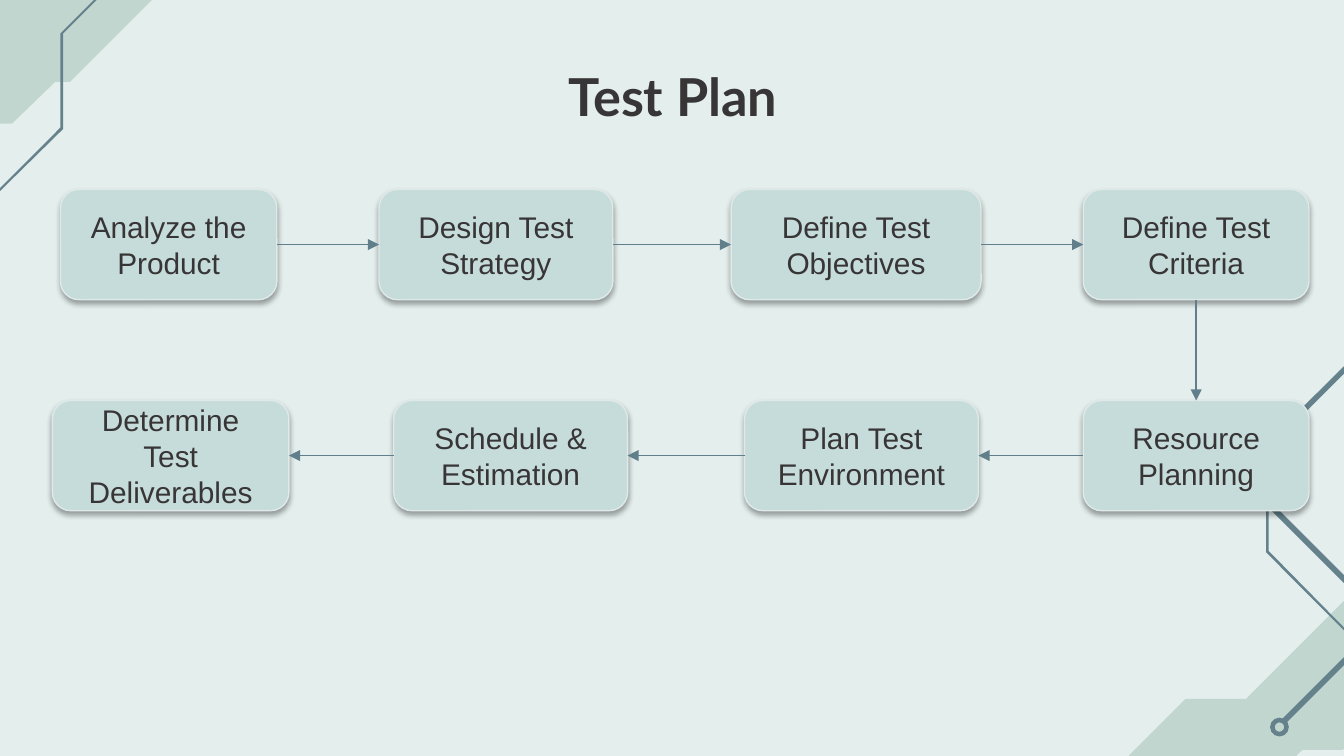
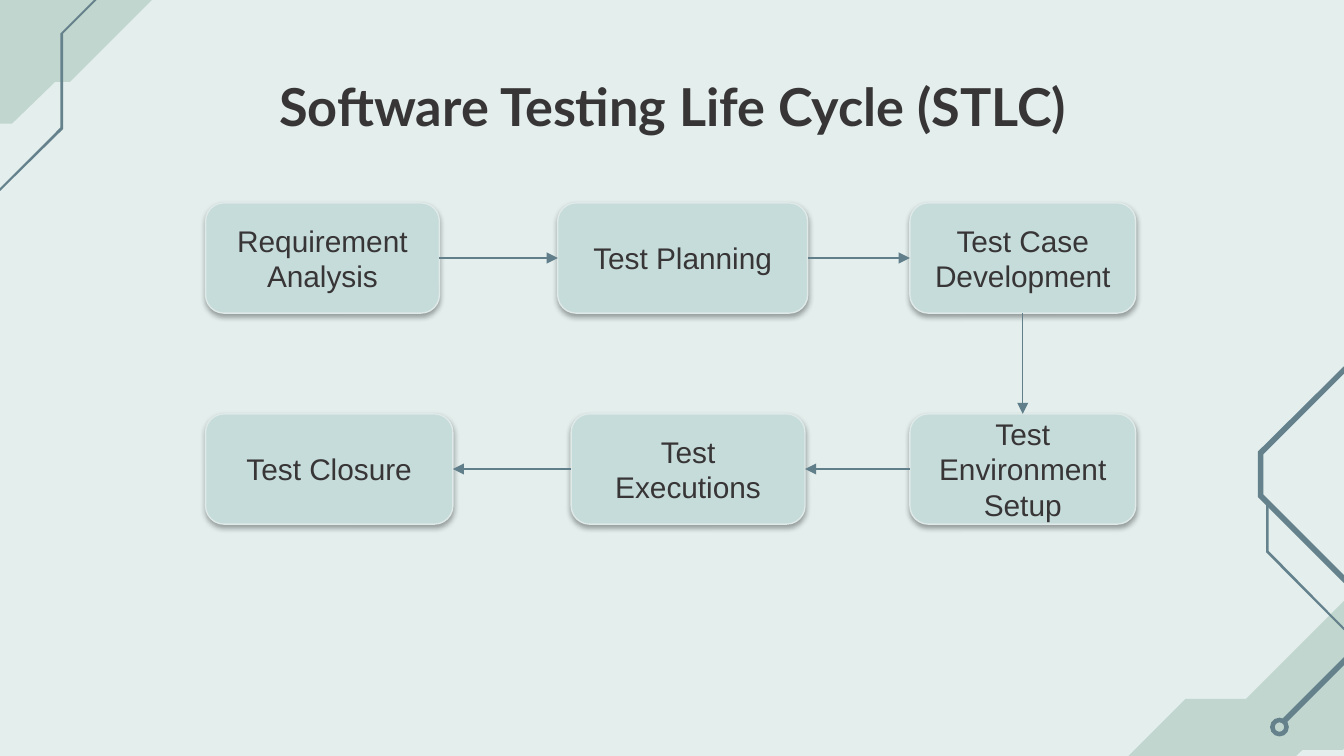
from itertools import pairwise

from lxml.etree import SubElement
from pptx import Presentation
from pptx.dml.color import RGBColor
from pptx.enum.shapes import MSO_CONNECTOR as CONN, MSO_SHAPE as SHAPE
from pptx.enum.text import MSO_ANCHOR as ANCHOR, MSO_AUTO_SIZE as AUTOSIZE, PP_ALIGN as ALIGN
from pptx.oxml.ns import qn
from pptx.util import Inches, Pt

COLORS = {
    "background": "E3EEED",
    "band": "C1D6CE",
    "circuit": "64818C",
    "box": "C6DCDA",
    "border": "DEE9E8",
    "arrow": "617F8A",
    "text": "383536",
}
SLIDE_W = Inches(10)
SLIDE_H = SLIDE_W * 9 // 16
TITLE_ONLY = 5
BOX_H = 0.82
ROW_STEP = 1.57
TOP, LEFT, BOTTOM, RIGHT = range(4)

CORNER_ART = [
    ("band", [(1.19, -0.72), (0.65, -0.18), (0.16, -0.18), (-0.94, 0.92),
              (0.09, 0.92), (0.41, 0.61), (0.52, 0.61), (1.85, -0.72)]),
    ("circuit", [(1.21, -0.51), (0.45, 0.25), (0.45, 0.95), (-0.12, 1.52),
                 (-0.11, 1.53), (0.47, 0.96), (0.47, 0.25), (1.22, -0.5)]),
    ("band", [(10.27, 4.2), (9.27, 5.2), (8.82, 5.2), (8.25, 5.77),
              (8.25, 6.03), (7.89, 6.39), (8.87, 6.39), (9.69, 5.58),
              (9.99, 5.58), (10.58, 4.99), (10.58, 4.83), (11.21, 4.2)]),
    ("circuit", [(12.18, 1.32), (11.21, 2.29), (10.43, 2.29), (10.43, 2.3),
                 (9.36, 3.36), (9.36, 3.7), (10.01, 4.35), (10.01, 4.88),
                 (9.53, 5.36), (9.56, 5.39), (10.05, 4.9), (10.05, 4.33),
                 (9.4, 3.68), (9.4, 3.38), (10.45, 2.33), (11.22, 2.33),
                 (11.23, 2.32), (12.21, 1.34)]),
    ("circuit", [(9.42, 3.74), (9.42, 4.11), (10.02, 4.71), (10.03, 4.7),
                 (9.44, 4.1), (9.44, 3.74)]),
]

# Each step is (label, left, width); rows are listed from left to right.
FLOWS = [
    ("Test Plan", 0.38, 1.41,
     [("Analyze the Product", 0.45, 1.61), ("Design Test Strategy", 2.82, 1.74),
      ("Define Test Objectives", 5.44, 1.86), ("Define Test Criteria", 8.06, 1.68)],
     [("Determine Test Deliverables", 0.39, 1.76), ("Schedule & Estimation", 2.93, 1.74),
      ("Plan Test Environment", 5.54, 1.74), ("Resource Planning", 8.06, 1.68)]),
    ("Software Testing Life Cycle (STLC)", 0.45, 1.51,
     [("Requirement Analysis", 1.53, 1.74), ("Test Planning", 4.15, 1.86),
      ("Test Case Development", 6.77, 1.68)],
     [("Test Closure", 1.53, 1.84), ("Test Executions", 4.25, 1.74),
      ("Test Environment Setup", 6.77, 1.68)]),
]


def rgb(name):
    return RGBColor.from_string(COLORS[name])


def paint(sp, fill, line=None):
    """Fill a shape, outline it if asked, and remove the theme shadow."""
    sp.fill.solid()
    sp.fill.fore_color.rgb = rgb(fill)
    if line:
        sp.line.color.rgb = rgb(line)
        sp.line.width = Pt(0.75)
    else:
        sp.line.fill.background()
    sp.shadow.inherit = False


def write(sp, text, size=16, font="Arial", bold=False, anchor=ANCHOR.MIDDLE):
    tf = sp.text_frame
    tf.word_wrap = True
    tf.auto_size = AUTOSIZE.NONE
    tf.vertical_anchor = anchor
    p = tf.paragraphs[0]
    p.alignment = ALIGN.CENTER
    r = p.add_run()
    r.text = text
    r.font.size, r.font.name, r.font.bold = Pt(size), font, bold
    r.font.color.rgb = rgb("text")


def add_soft_shadow(sp):
    effects = sp._element.spPr.find(qn("a:effectLst"))
    shadow = SubElement(effects, qn("a:outerShdw"), blurRad=str(Pt(3.1)),
                        dist=str(Pt(1.8)), dir="5400000", rotWithShape="0")
    color = SubElement(shadow, qn("a:srgbClr"), val="000000")
    SubElement(color, qn("a:alpha"), val="35000")


def add_corner_art(s):
    for color, points in CORNER_ART:
        start, *rest = [(Inches(x), Inches(y)) for x, y in points]
        builder = s.shapes.build_freeform(*start)
        builder.add_line_segments(rest)
        paint(builder.convert_to_shape(), color)
    ring = s.shapes.add_shape(SHAPE.DONUT, Inches(9.45), Inches(5.34), Inches(0.14), Inches(0.14))
    ring.adjustments[0] = 0.25
    paint(ring, "circuit")


def set_title(s, text, top):
    title = s.shapes.title
    title.left, title.top = Inches(0.79), Inches(top)
    title.width, title.height = Inches(8.43), Inches(0.65)
    tf = title.text_frame
    tf.margin_left = tf.margin_right = tf.margin_top = tf.margin_bottom = Inches(0.1)
    write(title, text, size=28, font="Lato", bold=True, anchor=ANCHOR.TOP)


def add_step(s, label, left, top, width):
    sp = s.shapes.add_shape(SHAPE.ROUNDED_RECTANGLE, Inches(left), Inches(top),
                            Inches(width), Inches(BOX_H))
    paint(sp, "box", "border")
    add_soft_shadow(sp)
    write(sp, label)
    return sp


def add_arrow(s, source, source_side, target, target_side):
    line = s.shapes.add_connector(CONN.STRAIGHT, 0, 0, 0, 0)
    line.begin_connect(source, source_side)
    line.end_connect(target, target_side)
    line.line.color.rgb = rgb("arrow")
    line.line.width = Pt(0.75)
    spPr = line._element.spPr
    SubElement(spPr.find(qn("a:ln")), qn("a:tailEnd"), type="triangle")
    SubElement(spPr, qn("a:effectLst"))


def add_flow(s, top, upper, lower):
    """Draw steps that run right along the upper row and back along the lower."""
    upper_boxes, lower_boxes = [
        [add_step(s, label, left, top + i * ROW_STEP, width) for label, left, width in row]
        for i, row in enumerate((upper, lower))
    ]
    for a, b in pairwise(upper_boxes):
        add_arrow(s, a, RIGHT, b, LEFT)
    add_arrow(s, upper_boxes[-1], BOTTOM, lower_boxes[-1], TOP)
    for a, b in pairwise(reversed(lower_boxes)):
        add_arrow(s, a, LEFT, b, RIGHT)


def main():
    prs = Presentation()
    prs.slide_width, prs.slide_height = SLIDE_W, SLIDE_H
    fill = prs.slide_master.background.fill
    fill.solid()
    fill.fore_color.rgb = rgb("background")
    for title, title_top, flow_top, upper, lower in FLOWS:
        s = prs.slides.add_slide(prs.slide_layouts[TITLE_ONLY])
        add_corner_art(s)
        set_title(s, title, title_top)
        add_flow(s, flow_top, upper, lower)
    prs.save("out.pptx")


if __name__ == "__main__":
    main()
